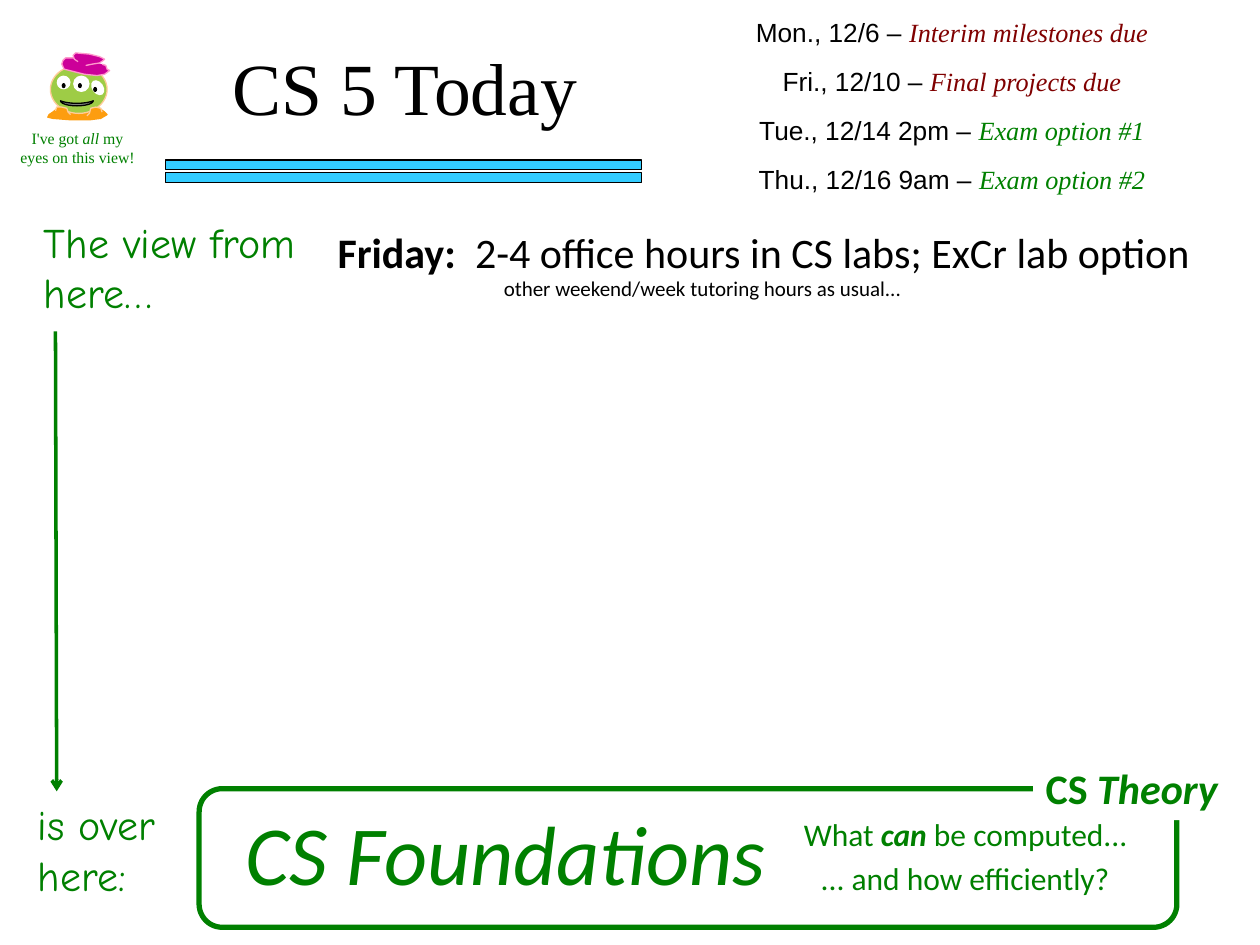
import pptx
import pptx.dml.color
import pptx.enum.shapes
import pptx.enum.text
import pptx.oxml
import pptx.oxml.ns
import pptx.util

Pt = pptx.util.Pt
RGB = pptx.dml.color.RGBColor
SHAPE = pptx.enum.shapes.MSO_SHAPE
ALIGN = pptx.enum.text.PP_ALIGN

BLACK = RGB(0x00, 0x00, 0x00)
WHITE = RGB(0xFF, 0xFF, 0xFF)
GREEN = RGB(0x00, 0x80, 0x00)
MAROON = RGB(0x80, 0x00, 0x00)
SKY = RGB(0x33, 0xCC, 0xFF)
ORANGE = RGB(0xFD, 0x9D, 0x0F)
SKIN = RGB(0x9E, 0xCC, 0x46)
PEACH = RGB(0xFF, 0xCC, 0x99)
GRAY = RGB(0x80, 0x80, 0x80)
MAGENTA = RGB(0xCC, 0x00, 0x99)
PINK = RGB(0xFF, 0x99, 0xCC)

SERIF, SANS, BODY, HAND = "Times New Roman", "Arial", "Calibri", "Comic Neue"

prs = pptx.Presentation()
prs.slide_width, prs.slide_height = Pt(720), Pt(540)
s = prs.slides.add_slide(prs.slide_layouts[5])


def add_text(runs, box, size, font=BODY, color=GREEN, align=ALIGN.LEFT,
             wrap=True, sp=None):
    """Fill sp, or a new text box, with (text, format) runs."""
    if sp is None:
        sp = s.shapes.add_textbox(0, 0, 0, 0)
    sp.left, sp.top, sp.width, sp.height = map(Pt, box)
    tf = sp.text_frame
    tf.word_wrap = wrap
    tf.auto_size = pptx.enum.text.MSO_AUTO_SIZE.NONE
    tf.vertical_anchor = pptx.enum.text.MSO_ANCHOR.TOP
    p = tf.paragraphs[0]
    p.alignment = align
    for text, fmt in runs:
        r = p.add_run()
        r.text = text
        r.font.size = Pt(size)
        r.font.name = fmt.get("font", font)
        r.font.color.rgb = fmt.get("color", color)
        r.font.bold = fmt.get("bold", False)
        r.font.italic = fmt.get("italic", False)
    return sp


def paint(sp, fill=None, line=None, width=0.75):
    sp.shadow.inherit = False
    if fill is None:
        sp.fill.background()
    else:
        sp.fill.solid()
        sp.fill.fore_color.rgb = fill
    if line is None:
        sp.line.fill.background()
    else:
        sp.line.color.rgb = line
        sp.line.width = Pt(width)


# Title with its double rule
add_text([("CS 5 Today ", {})], (108.7, 20.2, 255.6, 57.6), 42, font=SERIF,
         color=BLACK, align=ALIGN.CENTER, sp=s.shapes.title)
for top in (91.4, 98.8):
    paint(s.shapes.add_shape(SHAPE.RECTANGLE, Pt(94.5), Pt(top), Pt(272.2), Pt(5.6)),
          SKY, BLACK)

# Alien: outlines are in steps of 0.72 pt
feet = [(62, 82), (68, 82), (79, 86), (83, 89), (85, 91), (80, 94), (72, 95),
        (55, 95), (42, 94), (38, 93), (39, 91), (42, 89), (47, 85), (50, 84),
        (53, 83), (55, 82), (61, 83)]
hat_brim = [(61, 46), (52, 46), (50, 48), (49, 51), (51, 55), (59, 57), (67, 59),
            (77, 60), (83, 59), (87, 56), (85, 55), (84, 52), (81, 51)]
hat_top = [(62, 49), (59, 47), (58, 44), (60, 42), (71, 43), (79, 45), (83, 47),
           (82, 48), (79, 50), (73, 51), (68, 52)]
left_toe = [(44, 88), (45, 85), (49, 85), (53, 86), (54, 89), (56, 91)]
right_toe = [(81, 89), (80, 86), (76, 85), (72, 86), (71, 90), (69, 92)]
outlines = [(feet, ORANGE, ORANGE, True), (hat_brim, MAGENTA, PINK, False),
            (hat_top, MAGENTA, PINK, False), (left_toe, ORANGE, PEACH, False),
            (right_toe, ORANGE, PEACH, False)]
features = [  # preset, left, top, width, height, rotation, fill, line
    (SHAPE.OVAL, 28.8, 37.4, 32.4, 27.4, 0, SKIN, PEACH),
    (SHAPE.OVAL, 32.4, 43.2, 7.9, 7.9, 327.2, WHITE, None),
    (SHAPE.OVAL, 41.8, 43.2, 9.4, 9.4, 0, WHITE, None),
    (SHAPE.OVAL, 52.6, 45.4, 6.5, 9.4, 325.5, WHITE, None),
    (SHAPE.OVAL, 35.3, 47.5, 2.2, 2.9, 0, BLACK, None),
    (SHAPE.OVAL, 44.6, 47.5, 2.2, 2.9, 0, BLACK, None),
    (SHAPE.OVAL, 53.3, 49.7, 2.2, 2.9, 0, BLACK, None),
    (SHAPE.MOON, 42.5, 49.7, 2.9, 18.7, 270, GRAY, BLACK),
]
for i, (points, fill, line, close) in enumerate(outlines):
    fb = s.shapes.build_freeform(*points[0], scale=Pt(0.72))
    fb.add_line_segments(points[1:], close=close)
    paint(fb.convert_to_shape(), fill, line)
    if i == 0:  # the face lies between the feet and the hat
        for preset, x, y, w, h, rotation, f, ln in features:
            sp = s.shapes.add_shape(preset, Pt(x), Pt(y), Pt(w), Pt(h))
            sp.rotation = rotation
            paint(sp, f, ln)
add_text([("I've got ", {}), ("all ", {"italic": True}), ("my eyes on this view!", {})],
         (2.2, 69.8, 84.2, 28.8), 9, font=SERIF, align=ALIGN.CENTER)

# Dates
dates = [("Mon., 12/6 – ", "Interim milestones due", MAROON),
         ("Fri., 12/10 – ", "Final projects due", MAROON),
         ("Tue., 12/14 2pm – ", "Exam option #1", GREEN),
         ("Thu., 12/16 9am – ", "Exam option #2", GREEN)]
for i, (day, event, color) in enumerate(dates):
    add_text([(day, {}), (event, {"font": SERIF, "color": color, "italic": True})],
             (388, 5.8 + 28 * i, 312, 25.2), 15, font=SANS, color=BLACK,
             align=ALIGN.CENTER)

# Office hours
add_text([("Friday:  ", {"bold": True}),
          ("2-4 office hours in CS labs; ExCr lab option", {})],
         (185.8, 126, 506.2, 36.7), 24, color=BLACK, wrap=False)
add_text([("other weekend/week tutoring hours as usual...", {})],
         (280.8, 154.1, 241.9, 21.6), 12, color=BLACK, wrap=False)

# View from here to there
add_text([("The view from here…", {})], (18, 120.2, 167, 65.5), 24, font=HAND)
add_text([("is over here:", {})], (14.4, 452.9, 126.7, 65.5), 24, font=HAND)
arrow = s.shapes.add_connector(pptx.enum.shapes.MSO_CONNECTOR.STRAIGHT,
                               Pt(31.7), Pt(189.4), Pt(32.4), Pt(452.2))
arrow.line.color.rgb = GREEN
arrow.line.width = Pt(2)
ln = arrow.line._get_or_add_ln()
ln.append(pptx.oxml.parse_xml(
    '<a:tailEnd %s type="arrow"/>' % pptx.oxml.ns.nsdecls("a")))
arrow._element.spPr.append(pptx.oxml.parse_xml(
    "<a:effectLst %s/>" % pptx.oxml.ns.nsdecls("a")))

# Foundations panel
panel = s.shapes.add_shape(SHAPE.ROUNDED_RECTANGLE,
                           Pt(113.8), Pt(450.7), Pt(558.7), Pt(79.2))
paint(panel, line=GREEN, width=3)
add_text([("CS Foundations", {"italic": True})], (126, 454.3, 326.2, 65.5), 48,
         align=ALIGN.CENTER, wrap=False)
add_text([("What ", {}), ("can ", {"bold": True, "italic": True}),
          ("be computed...", {})],
         (451.4, 462.2, 200.9, 28.8), 18, align=ALIGN.CENTER, wrap=False)
add_text([("... and how efficiently?", {})], (460.8, 487.4, 181.4, 28.8), 18,
         align=ALIGN.CENTER, wrap=False)
label = add_text([("CS ", {"bold": True}), ("Theory", {"bold": True, "italic": True})],
                 (590.4, 432, 121, 36.7), 24)
label.fill.solid()
label.fill.fore_color.rgb = WHITE

prs.save("out.pptx")
